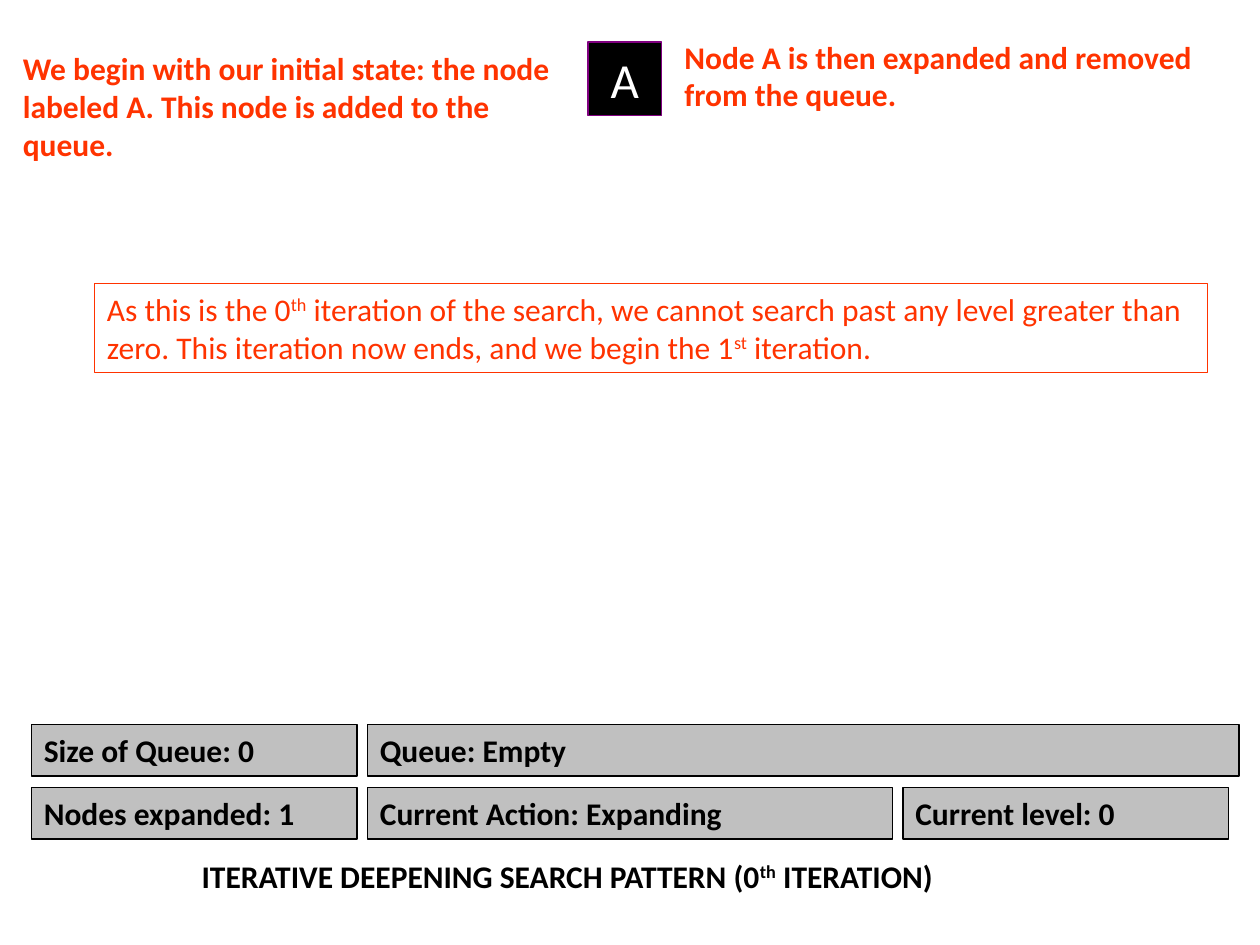
from pptx import Presentation
from pptx import util as u
from pptx.dml.color import RGBColor
from pptx.enum import shapes, text

PX = 914400 // 120  # 120 px to the inch
GAP = 10
ORANGE, BLACK, WHITE, GREY, PURPLE = "FF3300", "000000", "FFFFFF", "C0C0C0", "800080"


def px(*lengths):
    return [u.Emu(length * PX) for length in lengths]


def color(value):
    return RGBColor.from_string(value)


def write(shape, parts, ink, size=18, bold=False, align=text.PP_ALIGN.LEFT,
          anchor=text.MSO_ANCHOR.TOP):
    """Fill a shape with one paragraph; every second part is superscript."""
    frame = shape.text_frame
    frame.word_wrap = True
    frame.auto_size = text.MSO_AUTO_SIZE.NONE
    frame.vertical_anchor = anchor
    para = frame.paragraphs[0]
    para.alignment = align
    para.font.name = "Calibri"
    para.font.size = u.Pt(size)
    para.font.bold = bold
    para.font.color.rgb = color(ink)
    for index, part in enumerate(parts):
        span = para.add_run()
        span.text = part
        if index % 2:
            span._r.get_or_add_rPr().set("baseline", "30000")


def add_box(page, box, line, fill=None):
    shape = page.shapes.add_shape(shapes.MSO_SHAPE.RECTANGLE, *px(*box))
    shape.shadow.inherit = False
    if fill:
        shape.fill.solid()
        shape.fill.fore_color.rgb = color(fill)
    else:
        shape.fill.background()
    shape.line.color.rgb = color(line)
    shape.line.width = u.Pt(0.75)
    return shape


def add_comment(page, box, words):
    write(page.shapes.add_textbox(*px(*box)), [words], ORANGE, bold=True)


def add_node(page, box, label):
    write(add_box(page, box, PURPLE, BLACK), [label], WHITE, size=28,
          align=text.PP_ALIGN.CENTER, anchor=text.MSO_ANCHOR.MIDDLE)


def add_note(page, box, parts):
    write(add_box(page, box, ORANGE), parts, ORANGE)


def add_status(page, left, top, rows):
    """Rows of grey cells, each row a list of (words, width)."""
    height, pitch = 49, 60
    for number, row in enumerate(rows):
        x = left
        for words, width in row:
            cell = add_box(page, (x, top + number * pitch, width, height), BLACK, GREY)
            write(cell, [words], BLACK, bold=True)
            x += width + GAP


def add_title(page, box, parts):
    title = page.shapes.title
    title.left, title.top, title.width, title.height = px(*box)
    write(title, parts, BLACK, bold=True)


def main():
    deck = Presentation()
    deck.slide_width, deck.slide_height = px(1200, 900)
    page = deck.slides.add_slide(deck.slide_layouts[5])

    # Search tree with its comments
    add_node(page, (560, 40, 70, 70), "A")
    add_comment(page, (10, 41, 540, 120),
                "We begin with our initial state: the node labeled A. "
                "This node is added to the queue.")
    add_comment(page, (640, 30, 540, 84),
                "Node A is then expanded and removed from the queue.")

    # End of the iteration
    add_note(page, (90, 270, 1060, 85), [
        "As this is the 0", "th",
        " iteration of the search, we cannot search past any level greater than "
        "zero. This iteration now ends, and we begin the 1", "st", " iteration."])

    # Status panel and title
    add_status(page, 30, 690, [
        [("Size of Queue: 0", 310), ("Queue: Empty", 830)],
        [("Nodes expanded: 1", 310), ("Current Action: Expanding", 500),
         ("Current level: 0", 310)],
    ])
    add_title(page, (180, 810, 920, 48),
              ["ITERATIVE DEEPENING SEARCH PATTERN (0", "th", " ITERATION)"])

    deck.save("out.pptx")


if __name__ == "__main__":
    main()
